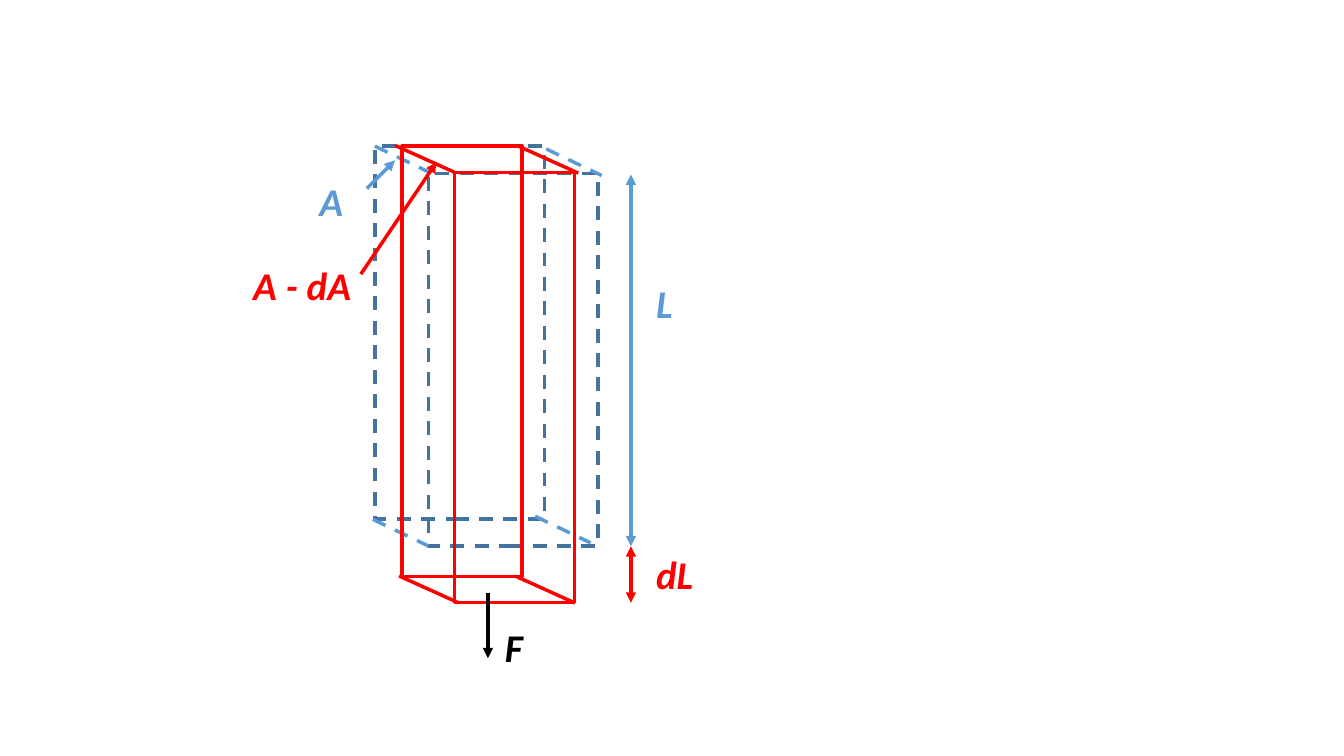
from lxml import etree
from pptx import Presentation
from pptx.dml.color import RGBColor
from pptx.enum.dml import MSO_LINE
from pptx.enum.shapes import MSO_CONNECTOR, MSO_SHAPE
from pptx.enum.text import MSO_AUTO_SIZE, PP_ALIGN
from pptx.oxml.ns import qn
from pptx.util import Pt

RECTANGLE = MSO_SHAPE.RECTANGLE
STRAIGHT = MSO_CONNECTOR.STRAIGHT
DASH = MSO_LINE.DASH
FIT_SHAPE = MSO_AUTO_SIZE.SHAPE_TO_FIT_TEXT
LEFT, RIGHT = PP_ALIGN.LEFT, PP_ALIGN.RIGHT

FONT = "Calibri"
BLUE, DARK_BLUE, RED, BLACK = "5B9BD5", "43739E", "FF0000", "000000"
LINE_WIDTH = 2.5
LABEL_HEIGHT = 41


def rgb(color):
    return RGBColor.from_string(color)


def style_line(line, color, dash=None):
    line.color.rgb = rgb(color)
    line.width = Pt(LINE_WIDTH)
    if dash is not None:
        line.dash_style = dash


def add_line(shapes, start, end, color, dash=None, arrows=()):
    """Draw a line; arrows may hold "headEnd" (start) and "tailEnd" (end)."""
    connector = shapes.add_connector(STRAIGHT, *map(Pt, (*start, *end)))
    style_line(connector.line, color, dash)
    properties = connector._element.spPr
    outline = properties.find(qn("a:ln"))
    for arrow in arrows:
        etree.SubElement(outline, qn(f"a:{arrow}"), type="triangle")
    etree.SubElement(properties, qn("a:effectLst"))


def add_face(shapes, left, top, width, height, color, dash=None):
    face = shapes.add_shape(RECTANGLE, *map(Pt, (left, top, width, height)))
    face.shadow.inherit = False
    face.fill.background()
    style_line(face.line, color, dash)


def add_prism(shapes, corners, size, edge_starts, depth,
              face_color, edge_color, dash=None):
    """Draw two upright faces joined by four parallel slanted edges."""
    for corner in corners:
        add_face(shapes, *corner, *size, face_color, dash)
    for x, y in edge_starts:
        end = (x + depth[0], y + depth[1])
        add_line(shapes, (x, y), end, edge_color, dash)


def add_label(shapes, text, left, top, color, width=51.8, align=LEFT):
    box = shapes.add_textbox(*map(Pt, (left, top, width, LABEL_HEIGHT)))
    frame = box.text_frame
    frame.word_wrap = True
    frame.auto_size = FIT_SHAPE
    para = frame.paragraphs[0]
    para.alignment = align
    span = para.add_run()
    span.text = text
    font = span.font
    font.name, font.size = FONT, Pt(28)
    font.bold = font.italic = True
    font.color.rgb = rgb(color)


def main():
    deck = Presentation()
    deck.slide_width, deck.slide_height = Pt(960), Pt(540)
    page = deck.slides.add_slide(deck.slide_layouts[6])
    shapes = page.shapes

    # Unloaded bar, dashed
    add_prism(shapes.add_group_shape().shapes,
              [(267.8, 104.4), (306, 123.8)], (121, 266.4),
              [(267.8, 104.4), (390.2, 106.4), (266.4, 371), (382.3, 368.8)],
              (39.6, 19), DARK_BLUE, BLUE, DASH)

    # Stretched bar, solid
    add_prism(shapes, [(324.7, 123.1), (287.3, 104.4)], (85.7, 307.4),
              [(282.2, 103.9), (370.8, 104.6), (368.4, 411.6), (285.1, 411.4)],
              (42.3, 19.1), RED, RED)

    # Force
    add_line(shapes, (348.5, 423.4), (348.5, 470.2), BLACK,
             arrows=["tailEnd"])
    add_label(shapes, "F", 353.5, 441.4, BLACK)

    # Length and its increase
    axis, original_end = 450.7, 390.2
    both_ends = ["headEnd", "tailEnd"]
    add_line(shapes, (axis, 124.6), (axis, original_end), BLUE,
             arrows=both_ends)
    add_line(shapes, (axis, original_end), (axis, 430.6), RED,
             arrows=both_ends)
    add_label(shapes, "L", 461.5, 195.8, BLUE)
    add_label(shapes, "dL", 461.5, 389.5, RED)

    # Cross-section and its reduction
    add_label(shapes, "A", 221, 123.1, BLUE)
    add_line(shapes, (262.1, 134.6), (282.2, 114.5), BLUE,
             arrows=["tailEnd"])
    add_line(shapes, (257.8, 195.8), (311.8, 115.9), RED,
             arrows=["tailEnd"])
    add_label(shapes, "A - dA", 164.9, 182.9, RED, width=92.9, align=RIGHT)

    deck.save("out.pptx")


main()
